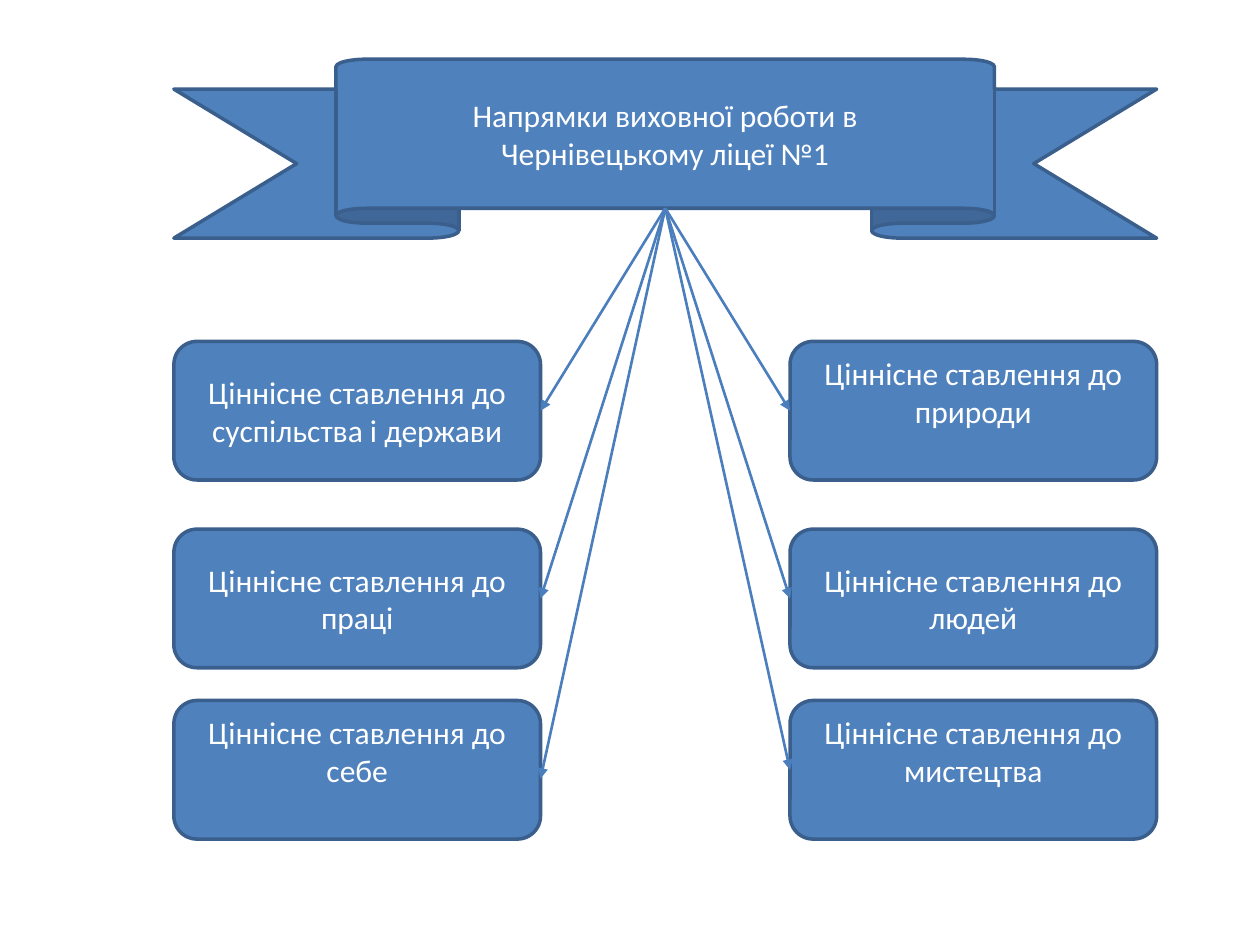
import pptx
import pptx.util
import pptx.dml.color
import pptx.enum.shapes
import pptx.enum.text
import pptx.oxml.ns
import lxml.etree

# Content: heading lines, then (text, text raised, arrow offset) per box
HEADING = ["Напрямки виховної роботи в", "Чернівецькому ліцеї №1"]
LEFT_BOXES = [
    ("Ціннісне ставлення до суспільства і держави", False, 0),
    ("Ціннісне ставлення до праці", False, 0),
    ("Ціннісне ставлення до себе", True, 0.07),
]
RIGHT_BOXES = [
    ("Ціннісне ставлення до природи", True, 0),
    ("Ціннісне ставлення до людей", False, 0),
    ("Ціннісне ставлення до мистецтва", True, 0),
]

# Layout in inches
LEFT, RIBBON_TOP, WIDTH, RIBBON_HEIGHT = 1.38, 0.47, 7.8, 1.42
CURL, RIBBON_SHARE = 0.167, 0.67
BOX_WIDTH, BOX_HEIGHT = 2.91, 1.1
ROW_TOPS = [2.71, 4.2, 5.56]
RIGHT = LEFT + WIDTH - BOX_WIDTH
HUB = (LEFT + WIDTH / 2, RIBBON_TOP + RIBBON_HEIGHT * (1 - CURL))
TEXT_INSET, RAISED_INSET = 0.05, 0.35

FILL, OUTLINE, ARROW, WHITE = "4F81BD", "3A5F8C", "4B7EBC", "FFFFFF"
SHAPES = pptx.enum.shapes.MSO_SHAPE
inches = pptx.util.Inches


def color(value):
    return pptx.dml.color.RGBColor.from_string(value)


def add_block(slide, kind, left, top, width, height, lines, raised=False):
    shape = slide.shapes.add_shape(
        kind, inches(left), inches(top), inches(width), inches(height))
    shape.shadow.inherit = False
    shape.fill.solid()
    shape.fill.fore_color.rgb = color(FILL)
    shape.line.color.rgb = color(OUTLINE)
    shape.line.width = pptx.util.Pt(2)
    frame = shape.text_frame
    frame.word_wrap = True
    frame.vertical_anchor = pptx.enum.text.MSO_ANCHOR.MIDDLE
    frame.margin_bottom = inches(RAISED_INSET if raised else TEXT_INSET)
    paragraph = frame.paragraphs[0]
    paragraph.alignment = pptx.enum.text.PP_ALIGN.CENTER
    for index, line in enumerate(lines):
        if index:
            paragraph.add_line_break()
        run = paragraph.add_run()
        run.text = line
        run.font.size = pptx.util.Pt(18)
        run.font.name = "Calibri"
        run.font.color.rgb = color(WHITE)
    return shape


def add_arrow(slide, start, end):
    connector = slide.shapes.add_connector(
        pptx.enum.shapes.MSO_CONNECTOR.STRAIGHT,
        *[inches(value) for value in (*start, *end)])
    connector.line.color.rgb = color(ARROW)
    connector.line.width = pptx.util.Pt(1.5)
    qualified = pptx.oxml.ns.qn
    line = connector.line._get_or_add_ln()
    lxml.etree.SubElement(line, qualified("a:tailEnd"), type="triangle")
    lxml.etree.SubElement(connector._element.spPr, qualified("a:effectLst"))


def main():
    presentation = pptx.Presentation()
    presentation.slide_width = inches(10)
    presentation.slide_height = inches(7.5)
    slide = presentation.slides.add_slide(presentation.slide_layouts[6])

    # Heading ribbon
    ribbon = add_block(slide, SHAPES.UP_RIBBON, LEFT, RIBBON_TOP,
                       WIDTH, RIBBON_HEIGHT, HEADING)
    ribbon.adjustments[0] = CURL
    ribbon.adjustments[1] = RIBBON_SHARE

    # Two columns of boxes, each noting where its arrow lands
    targets = []
    columns = [(LEFT, LEFT + BOX_WIDTH, LEFT_BOXES),
               (RIGHT, RIGHT, RIGHT_BOXES)]
    for left, inner_edge, boxes in columns:
        for top, (text, raised, offset) in zip(ROW_TOPS, boxes):
            add_block(slide, SHAPES.FLOWCHART_ALTERNATE_PROCESS, left, top,
                      BOX_WIDTH, BOX_HEIGHT, [text], raised)
            targets.append((inner_edge, top + BOX_HEIGHT / 2 + offset))

    # Arrows from the ribbon to every box
    for target in targets:
        add_arrow(slide, HUB, target)

    presentation.save("out.pptx")


if __name__ == "__main__":
    main()
